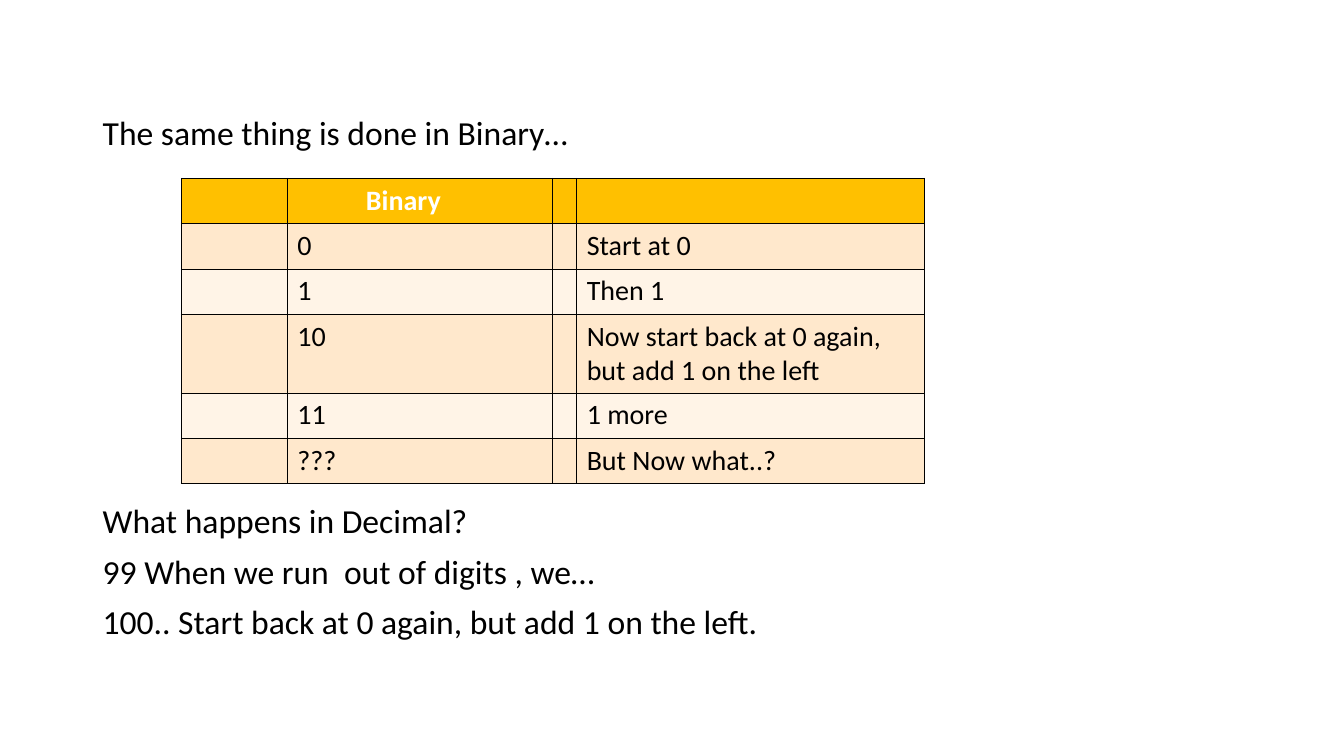
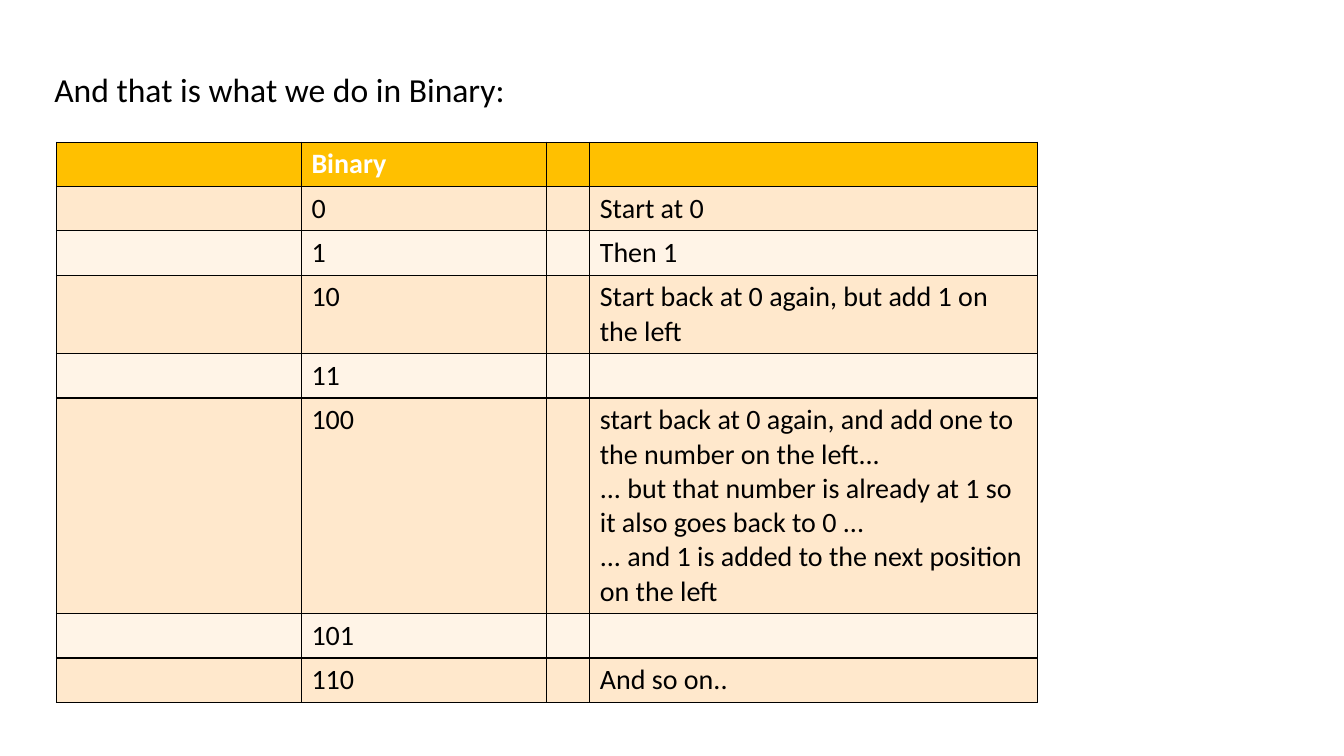
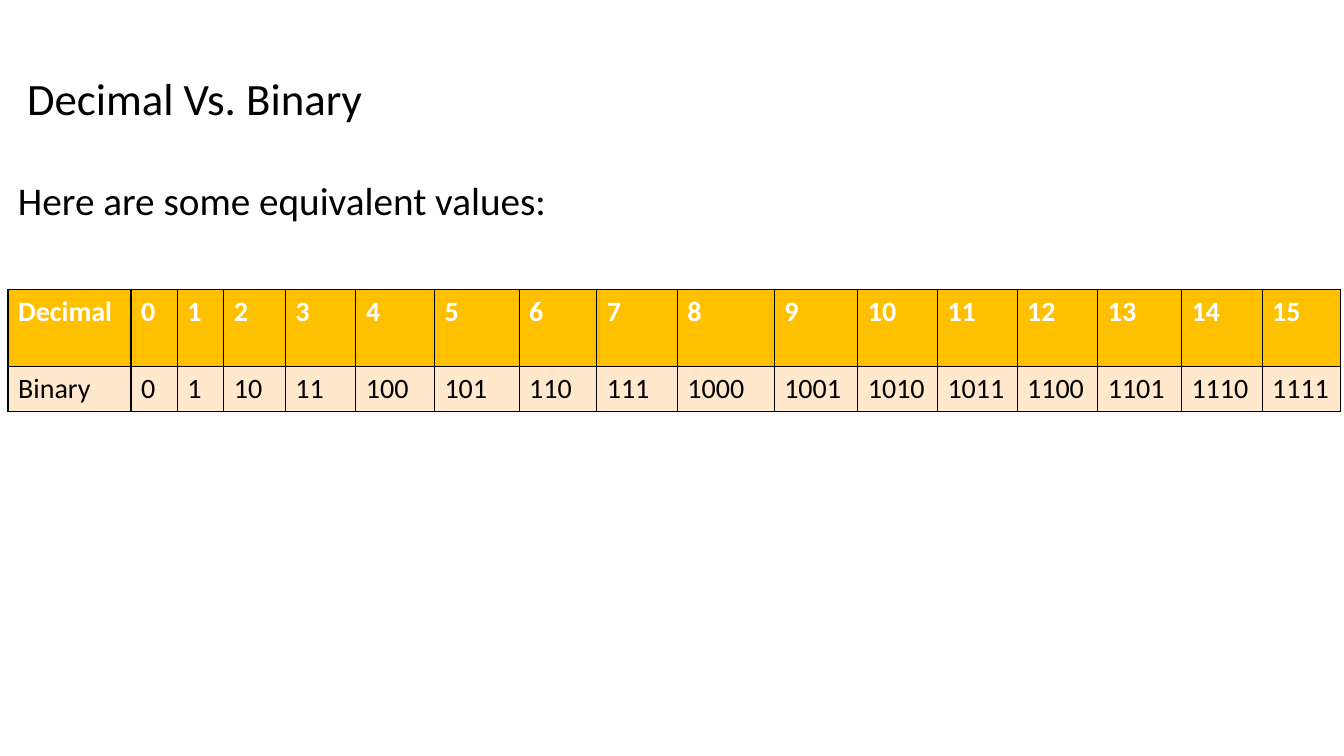
from lxml import etree
from pptx import Presentation
from pptx import util as u
from pptx.dml import color
from pptx.enum import text
from pptx.oxml import ns


def rgb(code):
    return color.RGBColor.from_string(code)


class Deck:
    """Holds the shared style and the current slide."""

    font = "Calibri"
    ink = "000000"
    white = "FFFFFF"
    gold = "FFC000"
    bands = ("FFE8CC", "FFF4E7")

    def __init__(self):
        self.show = Presentation()
        self.show.slide_width = u.Inches(13.33)
        self.show.slide_height = u.Inches(7.5)
        self.slide = None

    def page(self):
        self.slide = self.show.slides.add_slide(self.show.slide_layouts[6])

    def words(self, para, phrase, size, ink=ink, bold=False):
        for num, line in enumerate(phrase.split("\n")):
            if num:
                para.add_line_break()
            run = para.add_run()
            run.text = line
            run.font.name = self.font
            run.font.size = u.Pt(size)
            run.font.bold = bold
            run.font.color.rgb = rgb(ink)

    def box(self, left, top, width, height, lines, size=24, anchor=text.MSO_ANCHOR.TOP):
        shape = self.slide.shapes.add_textbox(*map(u.Inches, (left, top, width, height)))
        frame = shape.text_frame
        frame.word_wrap = True
        frame.vertical_anchor = anchor
        for num, line in enumerate(lines):
            para = frame.add_paragraph() if num else frame.paragraphs[0]
            para.line_spacing = 0.9
            if num:
                para.space_before = u.Pt(10)
            self.words(para, line, size)

    def edge(self, cell):
        props = cell._tc.get_or_add_tcPr()
        for side in ("a:lnL", "a:lnR", "a:lnT", "a:lnB"):
            line = etree.SubElement(props, ns.qn(side), w=str(u.Pt(1)))
            fill = etree.SubElement(line, ns.qn("a:solidFill"))
            etree.SubElement(fill, ns.qn("a:srgbClr"), val=self.ink)

    def table(self, left, top, cols, highs, rows):
        size = (left, top, sum(cols), sum(highs))
        frame = self.slide.shapes.add_table(len(rows), len(cols), *map(u.Inches, size))
        grid = frame.table
        for col, width in zip(grid.columns, cols):
            col.width = u.Inches(width)
        for num, (row, high, items) in enumerate(zip(grid.rows, highs, rows)):
            row.height = u.Inches(high)
            head = num == 0
            for cell, item in zip(row.cells, items):
                self.edge(cell)
                cell.fill.solid()
                cell.fill.fore_color.rgb = rgb(self.gold if head else self.bands[(num - 1) % 2])
                if item:
                    para = cell.text_frame.paragraphs[0]
                    self.words(para, item, 20, self.white if head else self.ink, head)
        return grid

    def steps(self, left, top, cols, highs, pairs):
        rows = [("", "Binary", "", "")]
        rows += [("", value, "", note) for value, note in pairs]
        return self.table(left, top, cols, highs, rows)


def main():
    deck = Deck()

    deck.page()
    deck.box(0.92, 1.11, 10.13, 0.5, ["The same thing is done in Binary…"])
    grid = deck.steps(1.8, 1.77, [1.05, 2.63, 0.24, 3.45], [0.45] * 3 + [0.78] + [0.45] * 2, [
        ("0", "Start at 0"),
        ("1", "Then 1"),
        ("10", "Now start back at 0 again, but add 1 on the left"),
        ("11", "1 more"),
        ("???", "But Now what..?"),
    ])
    grid.cell(0, 1).margin_left = u.Inches(0.78)
    deck.box(0.92, 4.96, 10.13, 1.6, [
        "What happens in Decimal?",
        "99 When we run  out of digits , we…",
        "100.. Start back at 0 again, but add 1 on the left.",
    ])

    deck.page()
    deck.box(0.44, 0.68, 11.5, 0.5, ["And that is what we do in Binary:"])
    highs = [0.44] * 3 + [0.78, 0.44, 2.14] + [0.44] * 2
    deck.steps(0.56, 1.41, [2.43, 2.43, 0.43, 4.44], highs, [
        ("0", "Start at 0"),
        ("1", "Then 1"),
        ("10", "Start back at 0 again, but add 1 on the left"),
        ("11", ""),
        ("100", "start back at 0 again, and add one to the number on the left...\n"
                "... but that number is already at 1 so it also goes back to 0 ...\n"
                "... and 1 is added to the next position on the left"),
        ("101", ""),
        ("110", "And so on.."),
    ])

    deck.page()
    deck.box(0.17, 0.71, 6.23, 0.59, ["Decimal Vs. Binary"], 32, text.MSO_ANCHOR.MIDDLE)
    deck.box(0.08, 1.75, 12.99, 0.6, ["Here are some equivalent values:"], 28)
    cols = [1.22, 0.46, 0.46, 0.61, 0.7, 0.78, 0.84, 0.77, 0.8,
            0.96, 0.83, 0.79, 0.79, 0.8, 0.83, 0.8, 0.78]
    deck.table(0.08, 2.87, cols, [0.77, 0.44], [
        ["Decimal"] + [str(num) for num in range(16)],
        ["Binary"] + [format(num, "b") for num in range(16)],
    ])

    deck.show.save("out.pptx")


if __name__ == "__main__":
    main()
